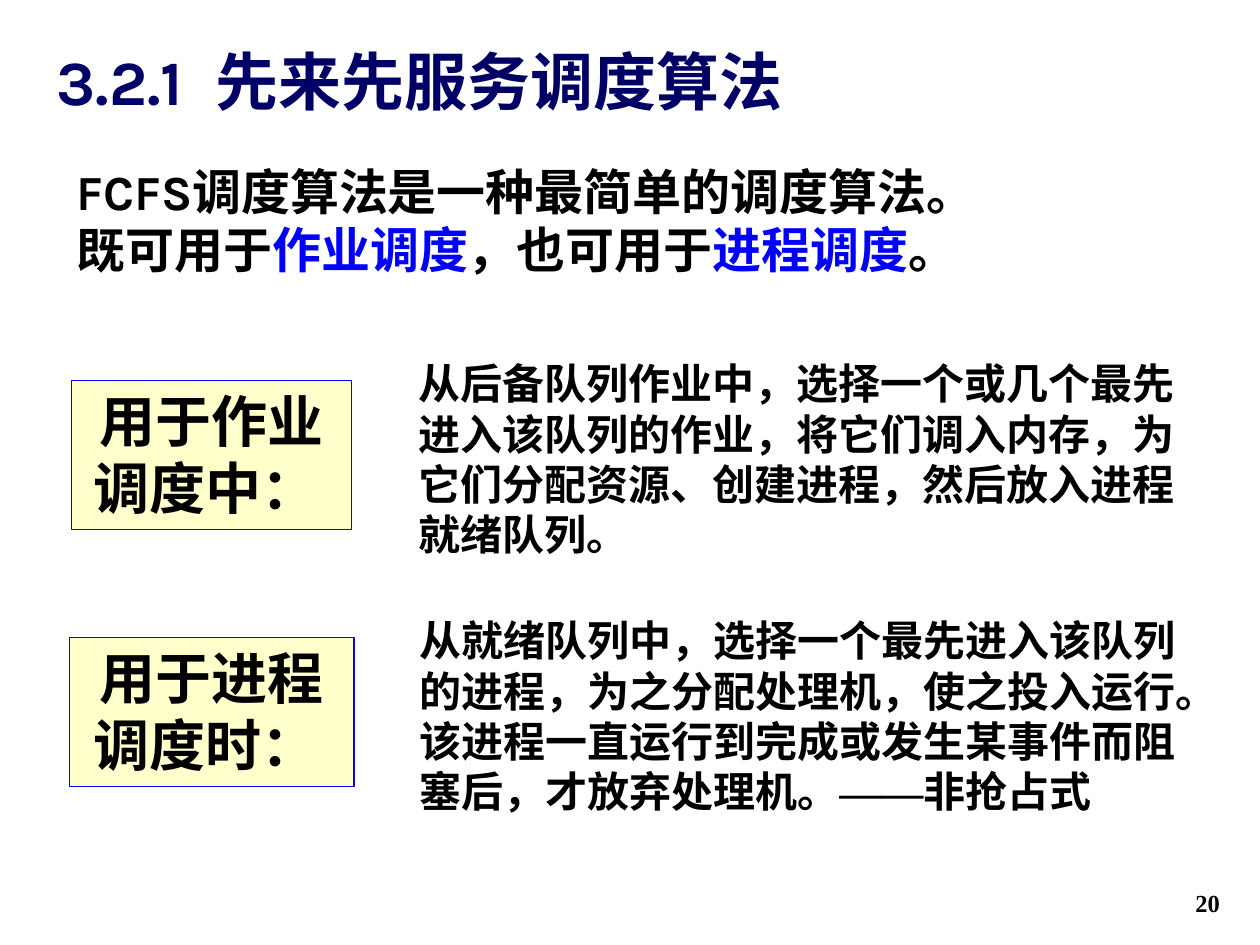
"""Build the slide on first-come first-served scheduling."""
import dataclasses
import typing

import pptx
import pptx.dml.color
import pptx.enum.shapes
import pptx.enum.text
import pptx.oxml
import pptx.oxml.ns
import pptx.util

ALIGN = pptx.enum.text.PP_ALIGN
ANCHOR = pptx.enum.text.MSO_ANCHOR


@dataclasses.dataclass(frozen=True)
class Theme:
    wide: float = 10
    high: float = 7.5
    ink: str = "000000"
    navy: str = "000066"
    blue: str = "0000FF"
    cream: str = "FFFFCC"
    latin: str = "Karla"
    han: str = "Noto Sans CJK SC"
    serif: str = "Times New Roman"
    title: int = 36
    label: int = 32
    lead: int = 28
    body: int = 24
    foot: int = 14
    pitch: float = 1.2
    edge: float = 0.75


THEME = Theme()


class Run(typing.NamedTuple):
    text: str
    color: str = THEME.ink
    font: str = THEME.han
    asian: str = THEME.han


class Area(typing.NamedTuple):
    left: float
    top: float
    width: float
    height: float


class Block(typing.NamedTuple):
    area: Area
    size: int
    lines: list[list[Run]]
    align: ALIGN = ALIGN.LEFT
    anchor: ANCHOR = ANCHOR.TOP
    boxed: bool = False


class Case(typing.NamedTuple):
    label: str
    box: Area
    note: Area
    runs: list[Run]


def rgb(code: str) -> pptx.dml.color.RGBColor:
    return pptx.dml.color.RGBColor.from_string(code)


def place(area: Area) -> list[int]:
    sides = (THEME.wide, THEME.high) * 2
    return [pptx.util.Inches(part * side) for part, side in zip(area, sides)]


def share(left: float, top: float, width: float, height: float) -> Area:
    return Area(left / THEME.wide, top / THEME.high,
                width / THEME.wide, height / THEME.high)


def write(para: typing.Any, item: Run, size: int) -> None:
    run = para.add_run()
    run.text = item.text
    font = run.font
    font.name, font.size, font.bold = item.font, pptx.util.Pt(size), True
    font.color.rgb = rgb(item.color)
    asian = pptx.oxml.parse_xml(
        f'<a:ea {pptx.oxml.ns.nsdecls("a")} typeface="{item.asian}"/>')
    run._r.get_or_add_rPr().find(pptx.oxml.ns.qn("a:latin")).addnext(asian)


def draw(slide: typing.Any, block: Block) -> None:
    if block.boxed:
        kind = pptx.enum.shapes.MSO_SHAPE.RECTANGLE
        shape = slide.shapes.add_shape(kind, *place(block.area))
        shape.shadow.inherit = False
        shape.fill.solid()
        shape.fill.fore_color.rgb = rgb(THEME.cream)
        shape.line.color.rgb = rgb(THEME.blue)
        shape.line.width = pptx.util.Pt(THEME.edge)
    else:
        shape = slide.shapes.add_textbox(*place(block.area))
    frame = shape.text_frame
    frame.word_wrap = True
    frame.vertical_anchor = block.anchor
    for index, line in enumerate(block.lines):
        para = frame.add_paragraph() if index else frame.paragraphs[0]
        para.alignment = block.align
        para.line_spacing = pptx.util.Pt(block.size * THEME.pitch)
        for item in line:
            write(para, item, block.size)


def main() -> None:
    deck = pptx.Presentation()
    deck.slide_width = pptx.util.Inches(THEME.wide)
    deck.slide_height = pptx.util.Inches(THEME.high)
    slide = deck.slides.add_slide(deck.slide_layouts[6])
    lead = [
        [Run("FCFS", font=THEME.latin), Run("调度算法是一种最简单的调度算法。")],
        [Run("既可用于"), Run("作业调度", THEME.blue), Run("，也可用于"),
         Run("进程调度", THEME.blue), Run("。")],
    ]
    cases = [
        Case("用于作业调度中： ", share(0.57, 3.02, 2.22, 1.18),
             share(3.22, 2.79, 6.33, 1.7),
             [Run("从后备队列作业中，选择一个或几个最先进入该队列的作业，"
                  "将它们调入内存，为它们分配资源、创建进程，然后放入进程就绪队列。")]),
        Case("用于进程调度时： ", share(0.55, 5.06, 2.26, 1.18),
             share(3.23, 4.83, 6.45, 1.7),
             [Run("从就绪队列中，选择一个最先进入该队列的进程，为之分配处理机，"
                  "使之投入运行。该进程一直运行到完成或发生某事件而阻塞后，才放弃处理机。"),
              Run("——", font=THEME.serif, asian=THEME.serif), Run("非抢占式")]),
    ]
    blocks = [
        Block(share(7.7, 6.83, 2.08, 0.5), THEME.foot,
              [[Run("20", font=THEME.serif)]], ALIGN.RIGHT, ANCHOR.BOTTOM),
        Block(share(0.35, 0.23, 9.43, 0.76), THEME.title,
              [[Run("3.2.1  先来先服务调度算法", THEME.navy, THEME.latin)]],
              anchor=ANCHOR.BOTTOM),
        Block(share(0.51, 1.23, 9.23, 1.03), THEME.lead, lead),
    ]
    for case in cases:
        blocks.append(Block(case.box, THEME.label, [[Run(case.label)]],
                            ALIGN.CENTER, boxed=True))
        blocks.append(Block(case.note, THEME.body, [case.runs]))
    for block in blocks:
        draw(slide, block)
    deck.save("out.pptx")


if __name__ == "__main__":
    main()
